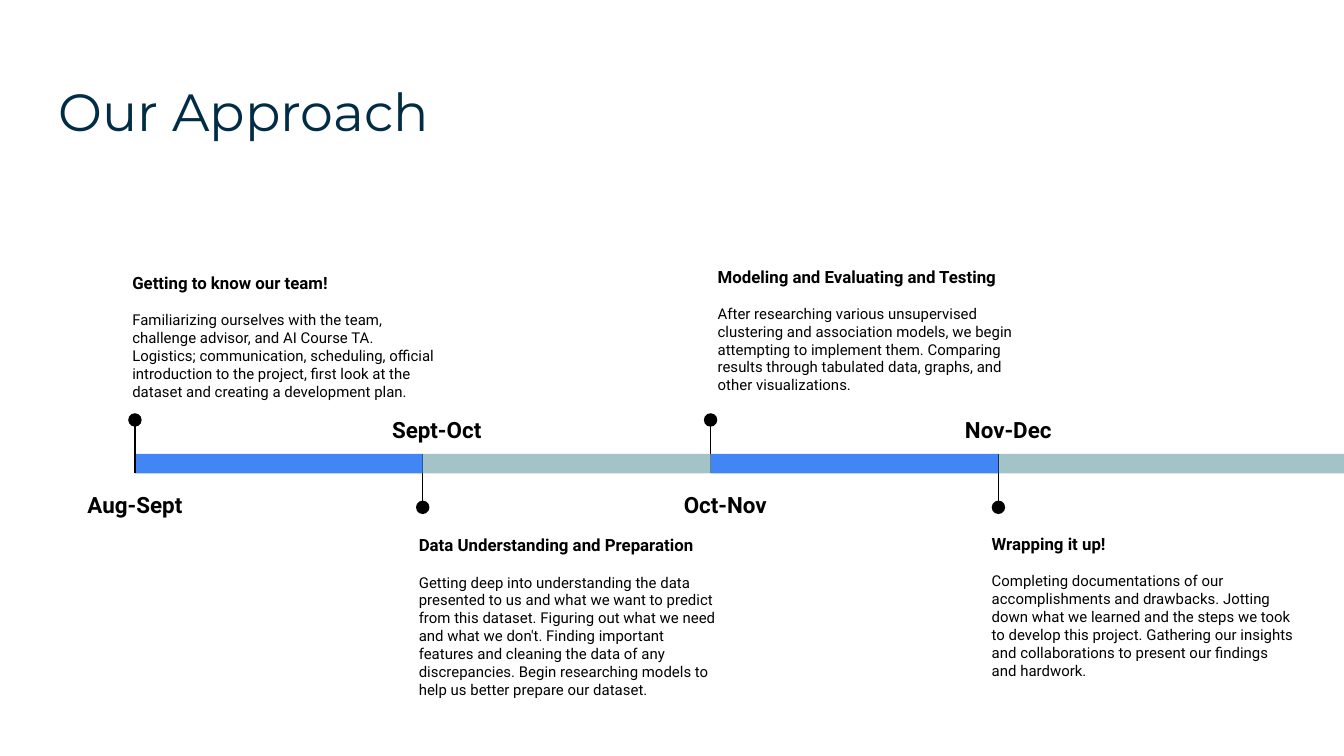
from collections import namedtuple

from lxml.etree import SubElement
from pptx import Presentation
from pptx.dml.color import RGBColor
from pptx.enum.shapes import MSO_CONNECTOR, MSO_SHAPE
from pptx.enum.text import PP_ALIGN
from pptx.oxml.ns import qn
from pptx.util import Pt

COLORS = {"title": "002D45", "text": "000000", "blue": "4285F4", "teal": "A2C4C9"}
SLIDE_WIDTH, SLIDE_HEIGHT = 720, 405
START_X, PHASE_WIDTH = 72.3, 154.2
BAR_TOP, BAR_HEIGHT = 243.2, 10.4
BAR_BOTTOM = BAR_TOP + BAR_HEIGHT
STEM_REACH = 18.2
DOT_SIZE = 7.2
MONTH_WIDTH, MONTH_HEIGHT = 72, 29.8
DETAIL_WIDTH = 177.1

Phase = namedtuple("Phase", "months month_center heading detail left top height")
PHASES = [
    Phase("Aug-Sept", 72.3, "Getting to know our team!",
          "Familiarizing ourselves with the team, challenge advisor, and AI Course TA. "
          "Logistics; communication, scheduling, official introduction to the project, "
          "first look at the dataset and creating a development plan.",
          63.8, 139, 74),
    Phase("Sept-Oct", 234, "Data Understanding and Preparation",
          "Getting deep into understanding the data presented to us and what we want to "
          "predict from this dataset. Figuring out what we need and what we don't. "
          "Finding important features and cleaning the data of any discrepancies. "
          "Begin researching models to help us better prepare our dataset.",
          217.3, 279.4, 98.6),
    Phase("Oct-Nov", 388.6, "Modeling and Evaluating and Testing",
          "After researching various unsupervised clustering and association models, "
          "we begin attempting to implement them. Comparing results through tabulated "
          "data, graphs, and other visualizations.",
          377.4, 135.4, 74),
    Phase("Nov-Dec", 540.2, "Wrapping it up!",
          "Completing documentations of our accomplishments and drawbacks. Jotting down "
          "what we learned and the steps we took to develop this project. Gathering our "
          "insights and collaborations to present our findings and hardwork.",
          524.2, 278.7, 88.6),
]


def rgb(name):
    return RGBColor.from_string(COLORS[name])


def style(paragraph, size, font="Roboto", color="text", bold=False):
    for run in paragraph.runs:
        run.font.name = font
        run.font.size = Pt(size)
        run.font.bold = bold
        run.font.color.rgb = rgb(color)


def add_text_frame(slide, left, top, width, height):
    frame = slide.shapes.add_textbox(Pt(left), Pt(top), Pt(width), Pt(height)).text_frame
    frame.word_wrap = True
    frame.margin_left = frame.margin_right = Pt(7.2)
    frame.margin_top = frame.margin_bottom = Pt(7.2)
    return frame


def add_filled(slide, kind, color, left, top, width, height):
    shape = slide.shapes.add_shape(kind, Pt(left), Pt(top), Pt(width), Pt(height))
    shape.shadow.inherit = False
    shape.fill.solid()
    shape.fill.fore_color.rgb = rgb(color)
    shape.line.fill.background()


def add_stem(slide, x, start_y, end_y):
    stem = slide.shapes.add_connector(
        MSO_CONNECTOR.STRAIGHT, Pt(x), Pt(start_y), Pt(x), Pt(end_y))
    stem.line.color.rgb = rgb("text")
    stem.line.width = Pt(0.75)
    SubElement(stem._element.spPr, qn("a:effectLst"))


def add_title(slide, title):
    frame = add_text_frame(slide, 24.5, 35.3, 671, 45.4)
    frame.text = title
    style(frame.paragraphs[0], 28, "Montserrat", "title")


def add_months(slide, phase, top):
    frame = add_text_frame(
        slide, phase.month_center - MONTH_WIDTH / 2, top, MONTH_WIDTH, MONTH_HEIGHT)
    frame.text = phase.months
    months = frame.paragraphs[0]
    months.alignment = PP_ALIGN.CENTER
    months.line_spacing = 1.15
    style(months, 12, bold=True)


def add_detail(slide, phase):
    frame = add_text_frame(slide, phase.left, phase.top, DETAIL_WIDTH, phase.height)
    frame.text = phase.heading
    style(frame.paragraphs[0], 9, bold=True)
    detail = frame.add_paragraph()
    detail.text = phase.detail
    detail.space_before = Pt(9.6)
    style(detail, 8)


def add_phase(slide, index, phase):
    x = START_X + index * PHASE_WIDTH
    detail_above = index % 2 == 0
    is_last = index == len(PHASES) - 1
    width = SLIDE_WIDTH - x if is_last else PHASE_WIDTH
    if detail_above:
        color, dot_y, stem_end, months_top = "blue", BAR_TOP - STEM_REACH, BAR_BOTTOM, BAR_BOTTOM
    else:
        color, dot_y, stem_end = "teal", BAR_BOTTOM + STEM_REACH, BAR_TOP
        months_top = BAR_TOP - MONTH_HEIGHT
    add_filled(slide, MSO_SHAPE.RECTANGLE, color, x, BAR_TOP, width, BAR_HEIGHT)
    add_stem(slide, x, dot_y, stem_end)
    add_filled(slide, MSO_SHAPE.OVAL, "text",
               x - DOT_SIZE / 2, dot_y - DOT_SIZE / 2, DOT_SIZE, DOT_SIZE)
    add_months(slide, phase, months_top)
    add_detail(slide, phase)


def main():
    presentation = Presentation()
    presentation.slide_width = Pt(SLIDE_WIDTH)
    presentation.slide_height = Pt(SLIDE_HEIGHT)
    slide = presentation.slides.add_slide(presentation.slide_layouts[6])
    add_title(slide, "Our Approach")
    for index, phase in reversed(list(enumerate(PHASES))):
        add_phase(slide, index, phase)
    presentation.save("out.pptx")


if __name__ == "__main__":
    main()
